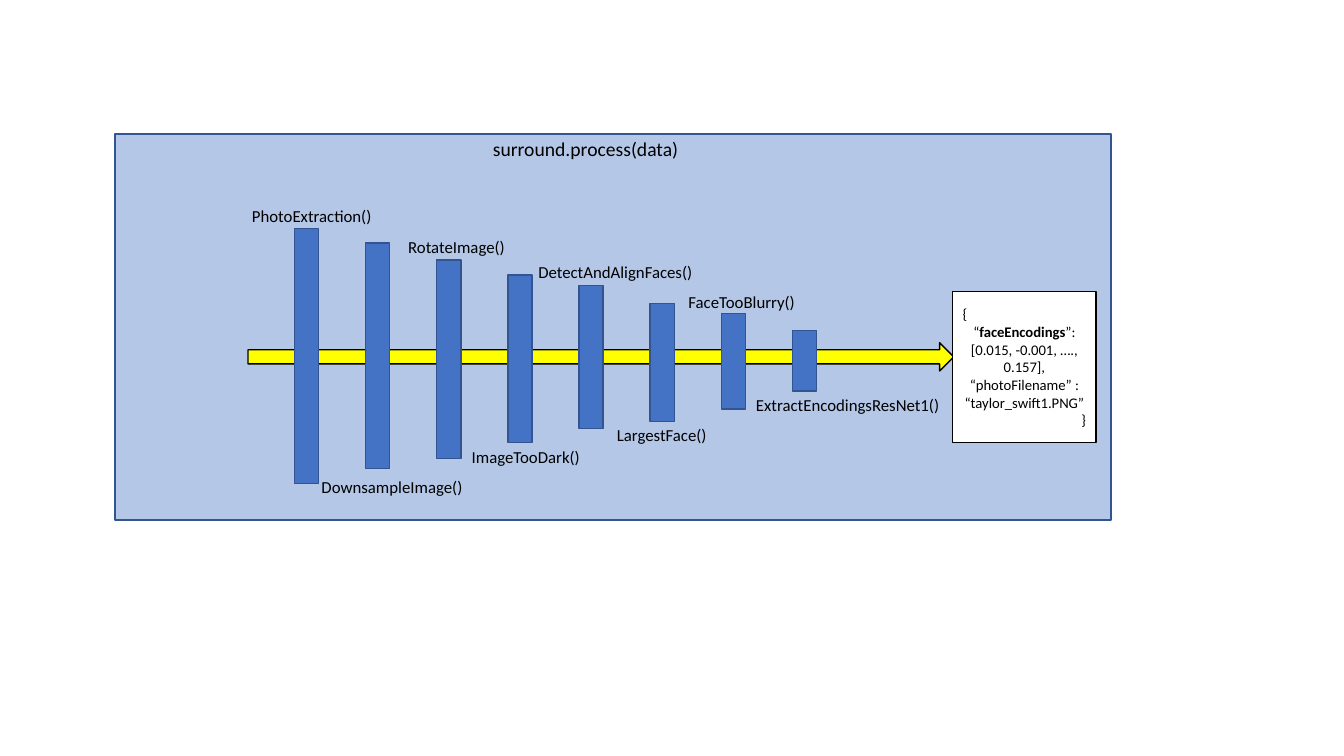
from dataclasses import dataclass
from pptx import Presentation
from pptx.dml.color import RGBColor
from pptx.enum.shapes import MSO_SHAPE
from pptx.enum.text import MSO_ANCHOR, MSO_AUTO_SIZE, PP_ALIGN
from pptx.util import Inches, Pt

TITLE = "surround.process(data)"

# name, bar top, bar height, label left, label top, label width
STAGES = [
    ("PhotoExtraction()", 2.27, 2.53, 2.4, 1.99, 1.4),
    ("DownsampleImage()", 2.41, 2.24, 3.09, 4.68, 1.62),
    ("RotateImage()", 2.58, 1.97, 3.95, 2.3, 1.17),
    ("ImageTooDark()", 2.73, 1.66, 4.58, 4.38, 1.29),
    ("DetectAndAlignFaces()", 2.83, 1.42, 5.24, 2.55, 1.75),
    ("LargestFace()", 3.01, 1.17, 6.02, 4.16, 1.1),
    ("FaceTooBlurry()", 3.11, 0.95, 6.73, 2.85, 1.27),
    ("ExtractEncodingsResNet1()", 3.28, 0.6, 7.4, 3.87, 2.04),
]

RESULT = [
    (PP_ALIGN.LEFT, [("{", False)]),
    (PP_ALIGN.CENTER, [("“", False), ("faceEncodings", True),
                       ("”: [0.015, -0.001, …., 0.157],", False)]),
    (PP_ALIGN.CENTER, [("“photoFilename” : “taylor_swift1.PNG”", False)]),
    (PP_ALIGN.RIGHT, [("}", False)]),
]

SLIDE_SIZE = (13.33, 7.5)
PANEL = (1.14, 1.33, 9.88, 3.83)
ARROW = (2.46, 3.4, 7, 0.28)
TITLE_BOX = (4.79, 1.31, 6.04, 0.34)
RESULT_BOX = (9.45, 2.89, 1.42, 1.5)
FIRST_BAR, BAR_STEP, BAR_WIDTH = 2.92, 4.94 / 7, 0.24
LABEL_HEIGHT = 0.3


@dataclass(frozen=True)
class Theme:
    font: str = "Calibri"
    panel: str = "B4C7E7"
    bar: str = "4472C4"
    edge: str = "325491"
    arrow: str = "FFFF00"
    paper: str = "FFFFFF"
    ink: str = "000000"
    title_size: float = 14
    label_size: float = 12
    result_size: float = 10.5


THEME = Theme()


def add_block(slide, box, fill, line, kind=MSO_SHAPE.RECTANGLE):
    shape = slide.shapes.add_shape(kind, *map(Inches, box))
    shape.shadow.inherit = False
    shape.fill.solid()
    shape.fill.fore_color.rgb = RGBColor.from_string(fill)
    shape.line.color.rgb = RGBColor.from_string(line)
    shape.line.width = Pt(1)
    return shape


def add_run(paragraph, text, size, bold=False):
    run = paragraph.add_run()
    run.text = text
    run.font.name = THEME.font
    run.font.size = Pt(size)
    run.font.bold = bold
    run.font.color.rgb = RGBColor.from_string(THEME.ink)


def add_label(slide, box, text, size, wrap=False):
    frame = slide.shapes.add_textbox(*map(Inches, box)).text_frame
    frame.word_wrap = wrap
    frame.auto_size = MSO_AUTO_SIZE.SHAPE_TO_FIT_TEXT
    add_run(frame.paragraphs[0], text, size)


def add_result(slide):
    frame = add_block(slide, RESULT_BOX, THEME.paper, THEME.ink).text_frame
    frame.word_wrap = True
    frame.vertical_anchor = MSO_ANCHOR.MIDDLE
    for index, (alignment, runs) in enumerate(RESULT):
        paragraph = frame.add_paragraph() if index else frame.paragraphs[0]
        paragraph.alignment = alignment
        for text, bold in runs:
            add_run(paragraph, text, THEME.result_size, bold)


def main():
    presentation = Presentation()
    presentation.slide_width, presentation.slide_height = map(Inches, SLIDE_SIZE)
    slide = presentation.slides.add_slide(presentation.slide_layouts[6])

    add_block(slide, PANEL, THEME.panel, THEME.edge)
    add_block(slide, ARROW, THEME.arrow, THEME.ink, MSO_SHAPE.RIGHT_ARROW)
    add_label(slide, TITLE_BOX, TITLE, THEME.title_size, wrap=True)

    for index, (_, top, height, *_) in enumerate(STAGES):
        left = FIRST_BAR + index * BAR_STEP
        add_block(slide, (left, top, BAR_WIDTH, height), THEME.bar, THEME.edge)
    for name, _, _, left, top, width in STAGES:
        add_label(slide, (left, top, width, LABEL_HEIGHT), name, THEME.label_size)

    add_result(slide)
    presentation.save("out.pptx")


if __name__ == "__main__":
    main()
